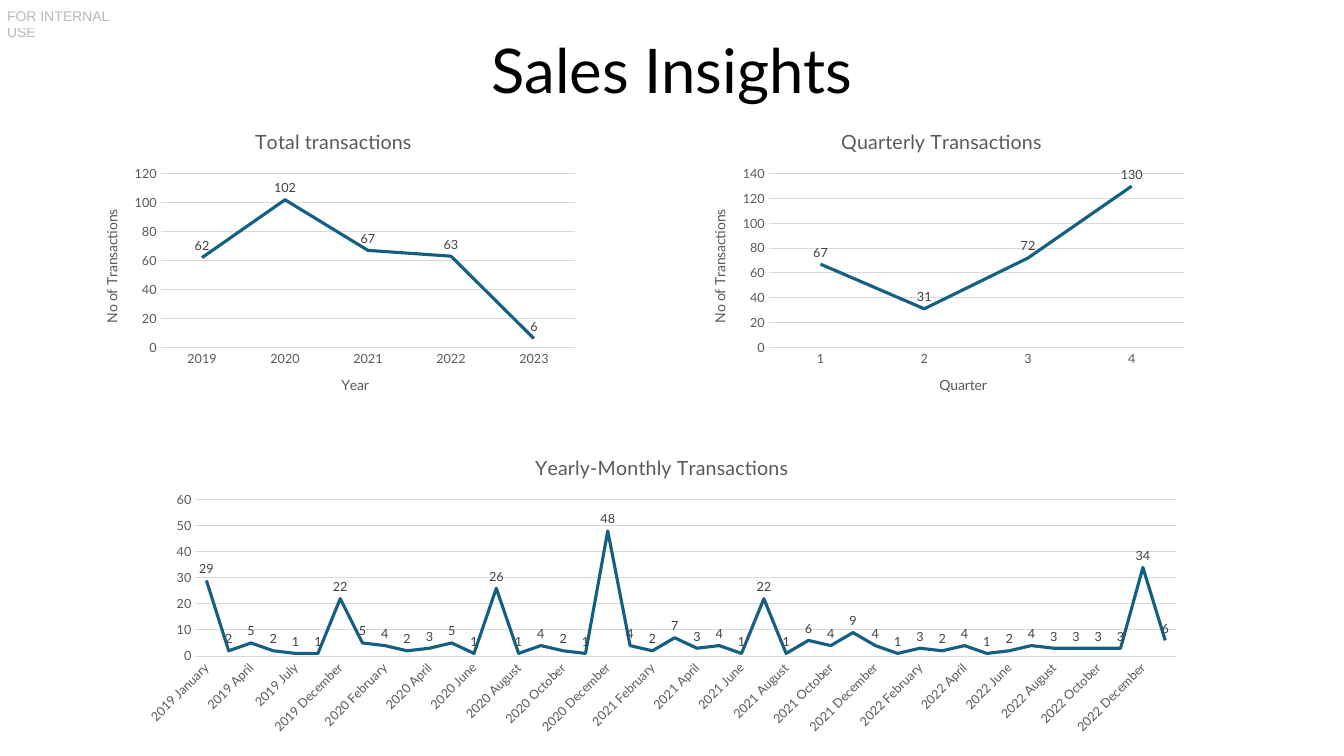
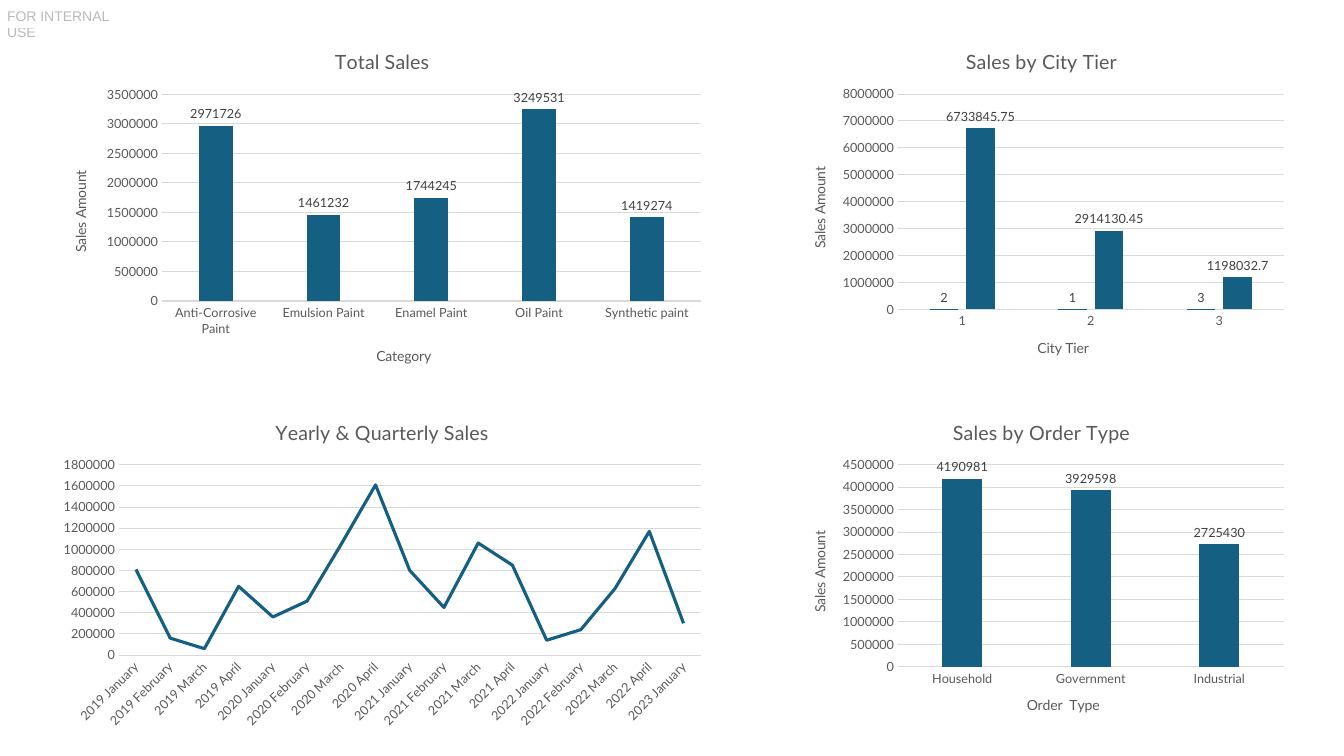
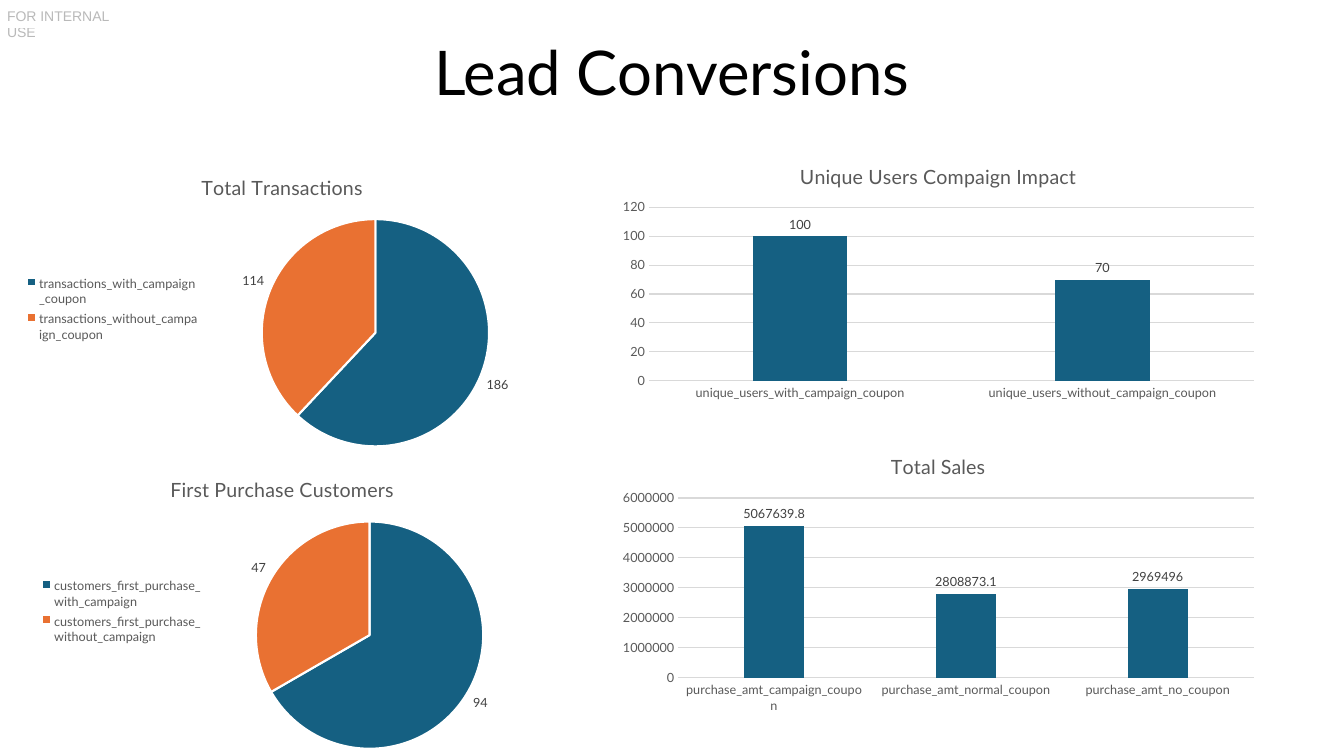
from dataclasses import dataclass

from lxml import etree
from pptx import Presentation
from pptx import util as u
from pptx.chart import data
from pptx.dml.color import RGBColor
from pptx.enum import chart as kinds
from pptx.enum import text
from pptx.oxml import ns


@dataclass(frozen=True)
class Theme:
    font: str = "Lato"
    mark_font: str = "Arial"
    black: str = "000000"
    grey: str = "595959"
    label: str = "404040"
    rule: str = "D9D9D9"
    mark: str = "747474"
    white: str = "FFFFFF"
    blue: str = "156082"
    orange: str = "E97132"
    title_size: float = 44
    chart_title_size: float = 14
    body_size: float = 10
    small_size: float = 9


THEME = Theme()
COLUMNS, ROWS = 160, 90
WIDTH, HEIGHT = u.Inches(13.33), u.Inches(7.5)
KIND = kinds.XL_CHART_TYPE
MONTHS = ("January February March April May June July August September "
          "October November December").split()


def grid(box):
    left, top, width, height = box
    return (round(left * WIDTH / COLUMNS), round(top * HEIGHT / ROWS),
            round(width * WIDTH / COLUMNS), round(height * HEIGHT / ROWS))


def apply(target, **values):
    for name, value in values.items():
        setattr(target, name, value)


def style_font(font, size, color, name=THEME.font):
    apply(font, size=u.Pt(size), name=name, bold=False)
    font.color.rgb = RGBColor.from_string(color)


def style_line(line, color, width):
    line.color.rgb = RGBColor.from_string(color)
    line.width = u.Pt(width)


def style_fill(fill, color):
    fill.solid()
    fill.fore_color.rgb = RGBColor.from_string(color)


def write_caption(caption, words, size):
    frame = caption.text_frame
    frame.text = words
    style_font(frame.paragraphs[0].runs[0].font, size, THEME.grey)


def add_mark(deck, page):
    box = page.shapes.add_textbox(*grid((0.84, 0.84, 14.6, 2)))
    frame = box.text_frame
    apply(frame, word_wrap=True, auto_size=text.MSO_AUTO_SIZE.SHAPE_TO_FIT_TEXT,
          margin_left=0, margin_top=0, margin_right=0, margin_bottom=0)
    span = frame.paragraphs[0].add_run()
    span.text = "FOR INTERNAL USE"
    style_font(span.font, THEME.body_size, THEME.mark, THEME.mark_font)
    color = span.font.fill._xPr.find(".//" + ns.qn("a:srgbClr"))
    etree.SubElement(color, ns.qn("a:alpha")).set("val", "50000")
    deck.slide_master.element.cSld.spTree.append(box.element)


def add_title(page, words, top=0):
    title = page.shapes.title
    left, top, width, height = grid((11, top, 138, 17.4))
    apply(title, left=left, top=top, width=width, height=height)
    frame = title.text_frame
    apply(frame, vertical_anchor=text.MSO_ANCHOR.MIDDLE,
          auto_size=text.MSO_AUTO_SIZE.NONE, word_wrap=True)
    para = frame.paragraphs[0]
    apply(para, text=words, alignment=text.PP_ALIGN.CENTER, line_spacing=0.9)
    style_font(para.runs[0].font, THEME.title_size, THEME.black)


def add_chart(page, box, kind, title, categories, *series, labels=None):
    table = data.CategoryChartData()
    table.categories = categories
    for number, values in enumerate(series, 1):
        table.add_series(f"Series {number}", values)
    chart = page.shapes.add_chart(kind, *grid(box), table).chart
    style_font(chart.font, THEME.body_size, THEME.black)
    apply(chart, has_title=True, has_legend=False)
    write_caption(chart.chart_title, title, THEME.chart_title_size)
    if labels is not None:
        chart.plots[0].has_data_labels = True
        tags = chart.plots[0].data_labels
        apply(tags, show_value=True, position=labels)
        style_font(tags.font, THEME.small_size, THEME.label)
    return chart


def style_axes(chart, across, up):
    for axis, words in ((chart.category_axis, across), (chart.value_axis, up)):
        apply(axis, major_tick_mark=kinds.XL_TICK_MARK.NONE,
              minor_tick_mark=kinds.XL_TICK_MARK.NONE, has_title=bool(words))
        style_font(axis.tick_labels.font, THEME.small_size, THEME.grey)
        if words:
            write_caption(axis.axis_title, words, THEME.body_size)
    chart.category_axis.has_major_gridlines = False
    style_line(chart.category_axis.format.line, THEME.rule, 0.75)
    chart.value_axis.has_major_gridlines = True
    style_line(chart.value_axis.major_gridlines.format.line, THEME.rule, 0.75)
    chart.value_axis.format.line.fill.background()
    turns = {"//c:catAx/c:txPr/a:bodyPr": "-60000000",
             "//c:valAx/c:title//a:bodyPr": "-5400000"}
    for place, turn in turns.items():
        for body in chart.element.xpath(place):
            body.set("rot", turn)
            body.set("vert", "horz")


def add_line_chart(page, box, title, categories, values, across=None, up=None,
                   labels=kinds.XL_LABEL_POSITION.ABOVE):
    chart = add_chart(page, box, KIND.LINE, title, categories, values, labels=labels)
    style_axes(chart, across, up)
    chart.plots[0].vary_by_categories = False
    series = chart.plots[0].series[0]
    series.smooth = False
    style_line(series.format.line, THEME.blue, 2.25)


def add_column_chart(page, box, title, categories, *values, across=None, up=None):
    chart = add_chart(page, box, KIND.COLUMN_CLUSTERED, title, categories, *values,
                      labels=kinds.XL_LABEL_POSITION.OUTSIDE_END)
    style_axes(chart, across, up)
    apply(chart.plots[0], gap_width=219, overlap=-27, vary_by_categories=False)
    for series in chart.plots[0].series:
        style_fill(series.format.fill, THEME.blue)


def add_pie_chart(page, box, title, categories, values):
    chart = add_chart(page, box, KIND.PIE, title, categories, values,
                      labels=kinds.XL_LABEL_POSITION.OUTSIDE_END)
    chart.plots[0].vary_by_categories = True
    chart.has_legend = True
    apply(chart.legend, position=kinds.XL_LEGEND_POSITION.LEFT, include_in_layout=False)
    style_font(chart.legend.font, THEME.small_size, THEME.grey)
    for index, color in enumerate((THEME.blue, THEME.orange)):
        slice_format = chart.plots[0].series[0].points[index].format
        style_fill(slice_format.fill, color)
        style_line(slice_format.line, THEME.white, 1.5)


def dates(year, months):
    return [f"{year} {month}" for month in months]


def build_insights(page):
    add_title(page, "Sales Insights")
    count = "No of Transactions"
    add_line_chart(page, (9.7, 13.4, 60, 36), "Total transactions",
                   ["2019", "2020", "2021", "2022", "2023"],
                   [62, 102, 67, 63, 6], "Year", count)
    add_line_chart(page, (82.1, 13.4, 60, 36), "Quarterly Transactions",
                   ["1", "2", "3", "4"], [67, 31, 72, 130], "Quarter", count)
    months = dates(2019, ["January", "March", "April", "June", "July", "August", "December"])
    for year in (2020, 2021, 2022):
        months += dates(year, MONTHS)
    months += dates(2023, ["March"])
    add_line_chart(page, (15, 52.2, 127.6, 36), "Yearly-Monthly Transactions", months,
                   [29, 2, 5, 2, 1, 1, 22,
                    5, 4, 2, 3, 5, 1, 26, 1, 4, 2, 1, 48,
                    4, 2, 7, 3, 4, 1, 22, 1, 6, 4, 9, 4,
                    1, 3, 2, 4, 1, 2, 4, 3, 3, 3, 3, 34, 6])


def build_sales(page):
    amount = "Sales Amount"
    left, wide, right, narrow = 6, 79, 94, 60
    top, lower, lower_height = 3.7, 47.9, 39.6
    add_column_chart(page, (left, top, wide, 42.2), "Total Sales",
                     ["Anti-Corrosive Paint", "Emulsion Paint", "Enamel Paint",
                      "Oil Paint", "Synthetic paint"],
                     [2971726, 1461232, 1744245, 3249531, 1419274],
                     across="Category", up=amount)
    quarters = [date for year in range(2019, 2023) for date in dates(year, MONTHS[:4])]
    add_line_chart(page, (left, lower, wide, lower_height), "Yearly & Quarterly Sales",
                   quarters + dates(2023, MONTHS[:1]),
                   [810000, 160000, 60000, 650000, 360000, 510000, 1050000, 1610000,
                    800000, 450000, 1060000, 850000, 140000, 240000, 630000, 1170000,
                    300000], labels=None)
    add_column_chart(page, (right, top, narrow, 41.3), "Sales by City Tier",
                     ["1", "2", "3"], [2, 1, 3], [6733845.75, 2914130.45, 1198032.7],
                     across="City Tier", up=amount)
    add_column_chart(page, (right, lower, narrow, lower_height), "Sales by Order Type",
                     ["Household", "Government", "Industrial"],
                     [4190981, 3929598, 2725430], across="Order  Type", up=amount)


def build_conversions(page):
    add_title(page, "Lead Conversions", 0.24)
    add_pie_chart(page, (1.8, 18.8, 63.6, 36), "Total Transactions",
                  ["transactions_with_campaign_coupon",
                   "transactions_without_campaign_coupon"], [186, 114])
    add_pie_chart(page, (3.6, 54.8, 60, 36), "First Purchase Customers",
                  ["customers_first_purchase_with_campaign",
                   "customers_first_purchase_without_campaign"], [94, 47])
    left, width = 72.6, 78.2
    add_column_chart(page, (left, 17.6, width, 30.7), "Unique Users Compaign Impact",
                     ["unique_users_with_campaign_coupon",
                      "unique_users_without_campaign_coupon"], [100, 70])
    add_column_chart(page, (left, 52.1, width, 33.5), "Total Sales",
                     ["purchase_amt_campaign_coupon", "purchase_amt_normal_coupon",
                      "purchase_amt_no_coupon"], [5067639.8, 2808873.1, 2969496])


def main():
    deck = Presentation()
    apply(deck, slide_width=WIDTH, slide_height=HEIGHT)
    title_only, blank = deck.slide_layouts[5], deck.slide_layouts[6]
    builders = ((build_insights, title_only), (build_sales, blank),
                (build_conversions, title_only))
    for build, layout in builders:
        build(deck.slides.add_slide(layout))
    add_mark(deck, deck.slides[0])
    deck.save("out.pptx")


if __name__ == "__main__":
    main()
